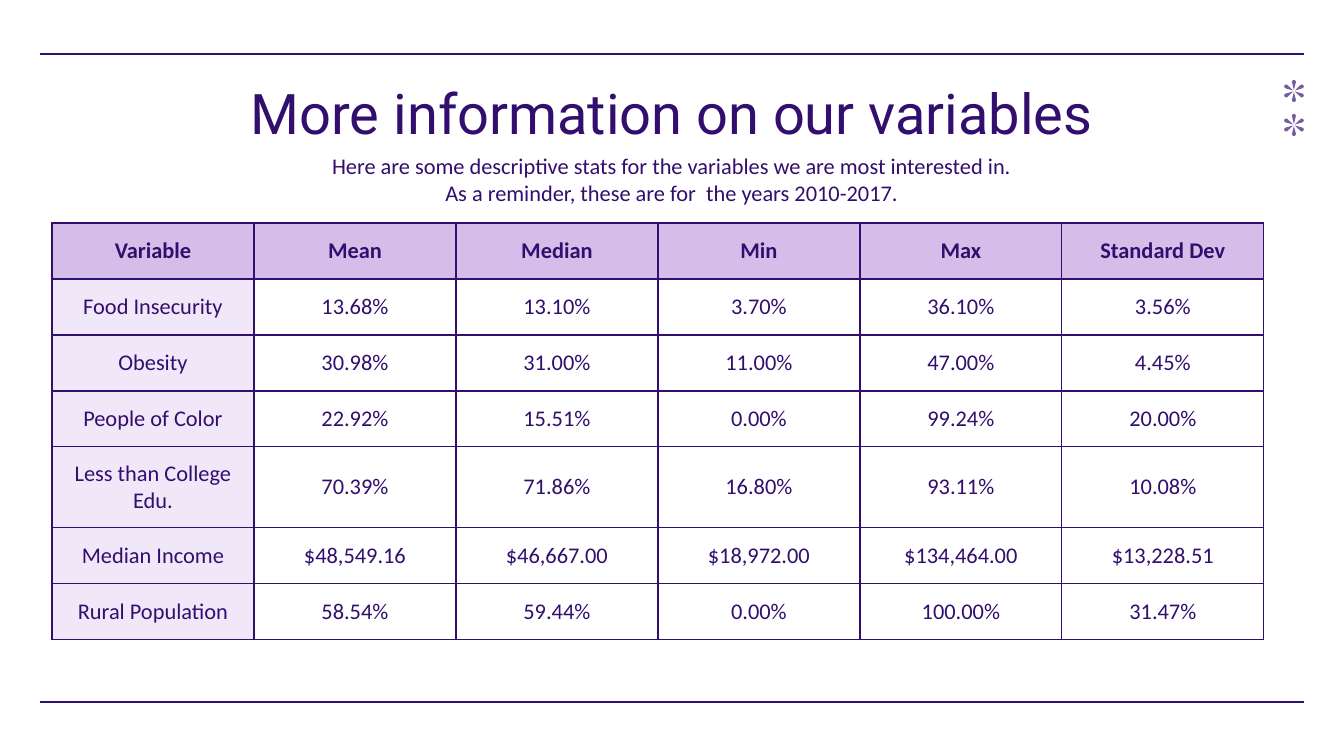
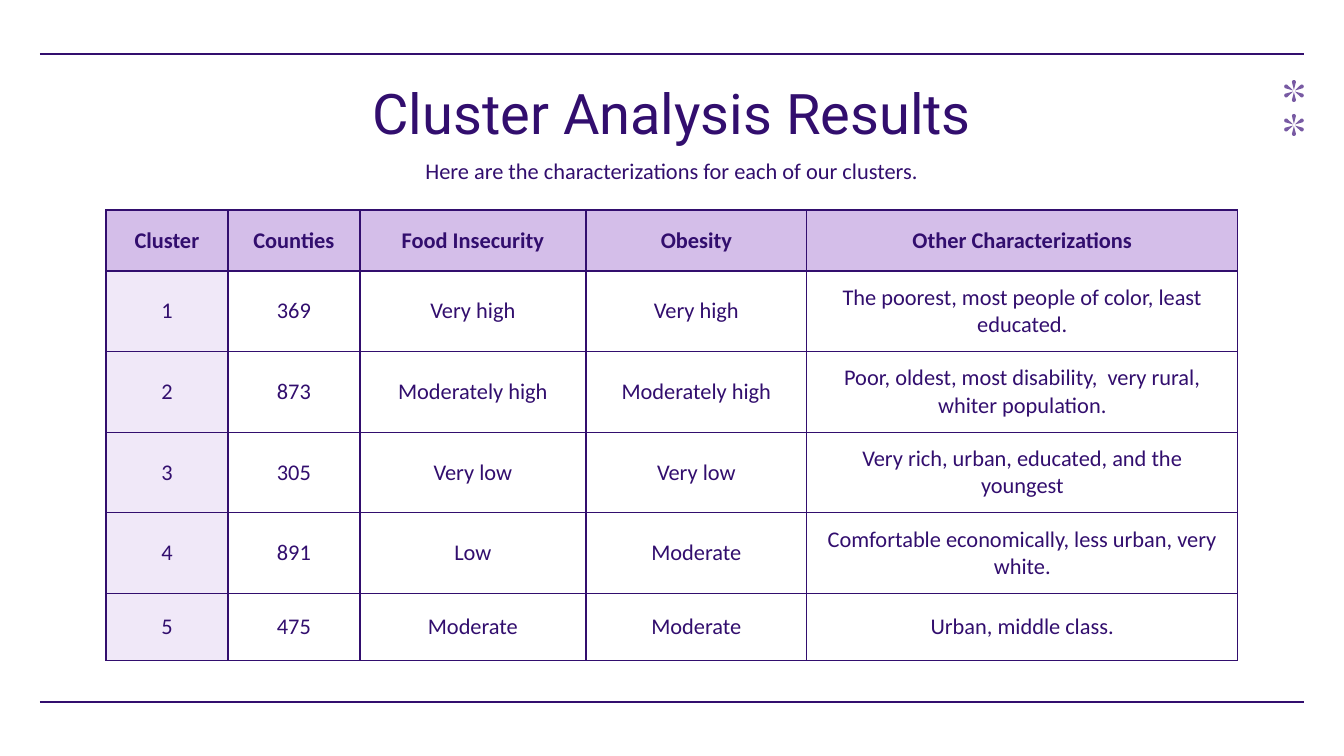
import math
from pptx import Presentation
from pptx import util as u
from pptx.dml.color import RGBColor
from pptx.enum import shapes, text
from pptx.oxml import parse_xml
from pptx.oxml.ns import nsdecls

PX = 914400 / 134.4
INK, STAR, HEAD, SIDE = "320E6E", "785AA3", "D4BEE9", "F0E8F8"
WIDE, HIGH = 1344, 756
PAD = 13

STATS = [
    ["Variable", "Mean", "Median", "Min", "Max", "Standard Dev"],
    ["Food Insecurity", "13.68%", "13.10%", "3.70%", "36.10%", "3.56%"],
    ["Obesity", "30.98%", "31.00%", "11.00%", "47.00%", "4.45%"],
    ["People of Color", "22.92%", "15.51%", "0.00%", "99.24%", "20.00%"],
    ["Less than College Edu.", "70.39%", "71.86%", "16.80%", "93.11%", "10.08%"],
    ["Median Income", "$48,549.16", "$46,667.00", "$18,972.00", "$134,464.00", "$13,228.51"],
    ["Rural Population", "58.54%", "59.44%", "0.00%", "100.00%", "31.47%"],
]
GROUPS = [
    ["Cluster", "Counties", "Food Insecurity", "Obesity", "Other Characterizations"],
    ["1", "369", "Very high", "Very high",
     "The poorest, most people of color, least educated."],
    ["2", "873", "Moderately high", "Moderately high",
     "Poor, oldest, most disability,  very rural, whiter population."],
    ["3", "305", "Very low", "Very low", "Very rich, urban, educated, and the youngest"],
    ["4", "891", "Low", "Moderate", "Comfortable economically, less urban, very white."],
    ["5", "475", "Moderate", "Moderate", "Urban, middle class."],
]


def px(n):
    return u.Emu(round(n * PX))


def color(code):
    return RGBColor.from_string(code)


def write(frame, lines, size=12, font="Calibri", bold=False):
    """Fill a text frame with centred lines, one paragraph each."""
    for i, line in enumerate(lines):
        para = frame.add_paragraph() if i else frame.paragraphs[0]
        para.alignment = text.PP_ALIGN.CENTER
        para.space_before = u.Pt(0)
        run = para.add_run()
        run.text = line
        run.font.size, run.font.name, run.font.bold = u.Pt(size), font, bold
        run.font.color.rgb = color(INK)
        yield run


def place(holder, box, anchor):
    holder.left, holder.top, holder.width, holder.height = map(px, box)
    frame = holder.text_frame
    frame.word_wrap = True
    frame.auto_size = text.MSO_AUTO_SIZE.NONE
    frame.vertical_anchor = anchor
    frame.margin_left = frame.margin_right = px(PAD)
    frame.margin_top = frame.margin_bottom = px(PAD)
    return frame


def rule(slide, x, y, width):
    line = slide.shapes.add_connector(
        shapes.MSO_CONNECTOR.STRAIGHT, px(x), px(y), px(x + width), px(y))
    line.line.color.rgb = color(INK)
    line.line.width = u.Pt(0.75)
    line._element.spPr.append(parse_xml(f"<a:effectLst {nsdecls('a')}/>"))


def star(slide, x, y, reach=11, tip=2):
    """Draw six round-ended petals about a centre."""
    for turn in range(0, 360, 60):
        spin = math.radians(turn + 90)
        local = [(1, 0)]
        for deg in range(-90, 91, 30):
            bend = math.radians(deg)
            local.append((reach - tip + tip * math.cos(bend), tip * math.sin(bend)))
        dots = [(px(x + a * math.cos(spin) - b * math.sin(spin)),
                 px(y + a * math.sin(spin) + b * math.cos(spin))) for a, b in local]
        pen = slide.shapes.build_freeform(*dots[0])
        pen.add_line_segments(dots[1:], close=True)
        petal = pen.convert_to_shape()
        petal.shadow.inherit = False
        petal.fill.solid()
        petal.fill.fore_color.rgb = color(STAR)
        petal.line.fill.background()


def frame_page(slide):
    """Add the rules and stars that every slide carries."""
    for y in (54, 702):
        rule(slide, 40, y, WIDE - 80)
    for y in (91, 125):
        star(slide, 1294, y)


def edge(cell):
    props = cell._tc.get_or_add_tcPr()
    for side in "LRTB":
        props.append(parse_xml(
            f'<a:ln{side} {nsdecls("a")} w="{u.Pt(0.75)}"><a:solidFill>'
            f'<a:srgbClr val="{INK}"/></a:solidFill></a:ln{side}>'))


def grid(slide, x, y, cols, rows, data):
    """Add a table with a tinted header row and first column."""
    table = slide.shapes.add_table(
        len(rows), len(cols), px(x), px(y), px(sum(cols)), px(sum(rows))).table
    table.first_row = table.horz_banding = False
    for col, width in zip(table.columns, cols):
        col.width = px(width)
    for r, (row, high) in enumerate(zip(table.rows, rows)):
        row.height = px(high)
        for c, cell in enumerate(row.cells):
            cell.margin_left = cell.margin_right = px(PAD)
            cell.margin_top = cell.margin_bottom = px(PAD)
            cell.vertical_anchor = text.MSO_ANCHOR.MIDDLE
            list(write(cell.text_frame, [data[r][c]], bold=r == 0))
            edge(cell)
            if r and c:
                cell.fill.background()
            else:
                cell.fill.solid()
                cell.fill.fore_color.rgb = color(SIDE if r else HEAD)


def page(deck, title, notes, deep, spot, cols, rows, data):
    """Add a slide with a title, an intro of the given depth and a table."""
    slide = deck.slides.add_slide(deck.slide_layouts[2])
    head, body = slide.placeholders
    frame = place(head, (106, 66, 1132, 84), text.MSO_ANCHOR.TOP)
    for run in write(frame, [title], 30, "Roboto"):
        run.font._element.set("cap", "none")
    frame = place(body, (106, 149, 1132, deep), text.MSO_ANCHOR.MIDDLE)
    list(write(frame, notes))
    frame_page(slide)
    grid(slide, *spot, cols, rows, data)


def main():
    deck = Presentation()
    deck.slide_width, deck.slide_height = px(WIDE), px(HIGH)
    page(deck, "More information on our variables",
         ["Here are some descriptive stats for the variables we are most interested in.",
          "As a reminder, these are for  the years 2010-2017."],
         60, (52, 223), [202] * 6, [56] * 7, STATS)
    page(deck, "Cluster Analysis Results",
         ["Here are the characterizations for each of our clusters."],
         44, (106, 210), [122, 132, 226, 221, 431], [61, 70] + [67] * 4, GROUPS)
    deck.save("out.pptx")


if __name__ == "__main__":
    main()
